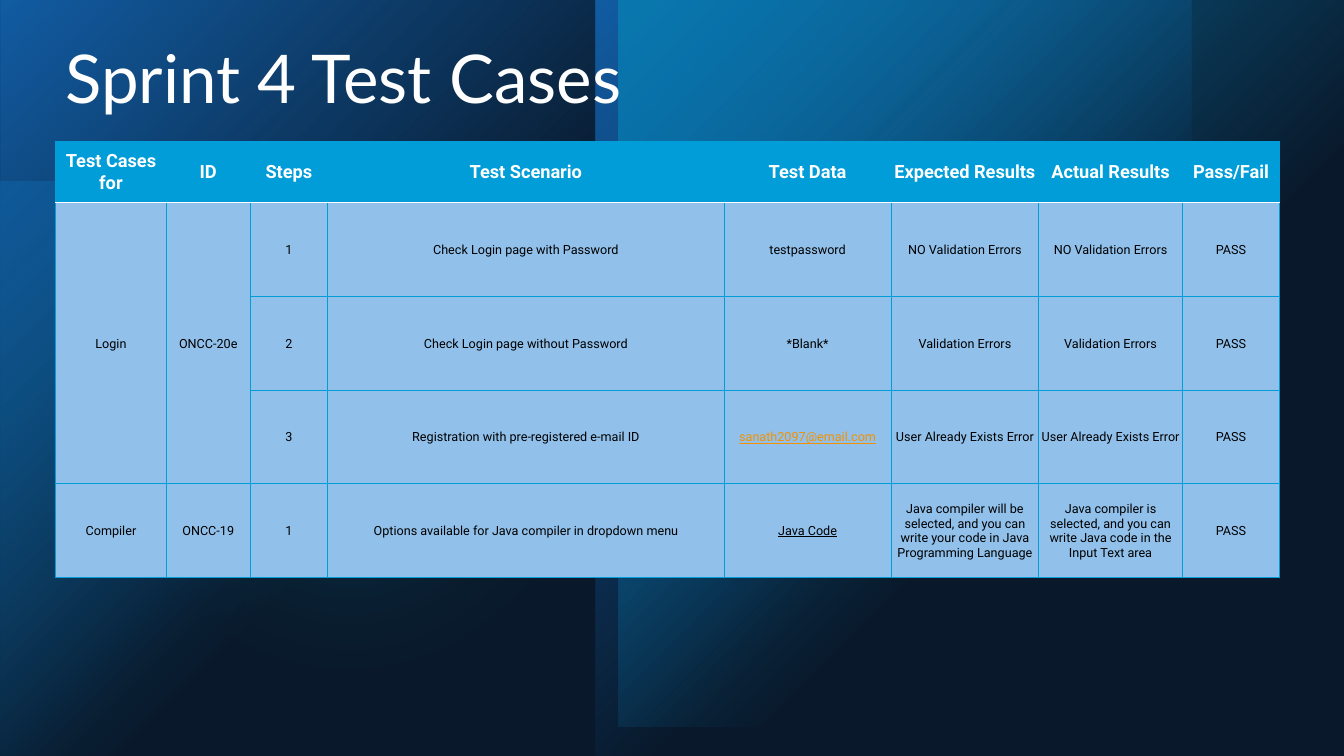
"""Build the Sprint 4 test case slide."""
import pptx
import pptx.dml.color
import pptx.enum.shapes
import pptx.enum.text
import pptx.oxml
import pptx.oxml.ns
import pptx.util

Inches, Pt = pptx.util.Inches, pptx.util.Pt
qn = pptx.oxml.ns.qn
MSO_SHAPE = pptx.enum.shapes.MSO_SHAPE
PP_ALIGN = pptx.enum.text.PP_ALIGN
MSO_ANCHOR = pptx.enum.text.MSO_ANCHOR
NS = 'xmlns:a="http://schemas.openxmlformats.org/drawingml/2006/main"'

SKY, BLUE, TEAL, NAVY = "009DD9", "0F6FC6", "0BD0D9", "17406D"
PALE, WHITE, BLACK, ORANGE = "91C1EB", "FFFFFF", "000000", "F49100"
HEADER = {"size": Pt(13), "name": "Roboto", "bold": True, "color": WHITE}
BODY = {"size": Pt(9), "name": "Roboto", "bold": False, "color": BLACK}
TITLE = {"size": Pt(48), "name": "Lato", "color": WHITE}
SPECIAL = {
    "sanath2097@email.com": {"color": ORANGE, "underline": True},
    "Java Code": {"underline": True},
}

COLS = [1.1, 0.83, 0.77, 3.93, 1.66, 1.46, 1.43, 0.96]
ROWS = [0.61] + [0.93] * 4
CASES = [
    ["Test Cases for", "ID", "Steps", "Test Scenario", "Test Data",
     "Expected Results", "Actual Results", "Pass/Fail"],
    ["Login", "ONCC-20e", "1", "Check Login page with Password", "testpassword",
     "NO Validation Errors", "NO Validation Errors", "PASS"],
    ["", "", "2", "Check Login page without Password", "*Blank*",
     "Validation Errors", "Validation Errors", "PASS"],
    ["", "", "3", "Registration with pre-registered e-mail ID", "sanath2097@email.com",
     "User Already Exists Error", "User Already Exists Error", "PASS"],
    ["Compiler", "ONCC-19", "1", "Options available for Java compiler in dropdown menu",
     "Java Code",
     "Java compiler will be selected, and you can write your code in Java Programming Language",
     "Java compiler is selected, and you can write Java code in the Input Text area", "PASS"],
]


def rgb(value):
    return pptx.dml.color.RGBColor.from_string(value)


def xml_color(value, alpha):
    return f'<a:srgbClr val="{value}"><a:alpha val="{alpha * 1000}"/></a:srgbClr>'


class Deck:
    def __init__(self):
        self.prs = pptx.Presentation()
        self.prs.slide_width, self.prs.slide_height = Inches(13.33), Inches(7.5)
        self.s = self.prs.slides.add_slide(self.prs.slide_layouts[5])

    def background(self, color):
        fill = self.s.background.fill
        fill.solid()
        fill.fore_color.rgb = rgb(color)

    def font(self, font, values):
        for key, value in values.items():
            if key == "color":
                font.color.rgb = rgb(value)
            else:
                setattr(font, key, value)

    def shape(self, kind, box, fill, flip="", rotation=0, soft=0):
        sp = self.s.shapes.add_shape(kind, *map(Inches, box))
        sp.shadow.inherit = False
        sp.line.fill.background()
        sp.rotation = rotation
        spPr = sp._element.spPr
        for axis in flip:
            spPr.find(qn("a:xfrm")).set("flip" + axis, "1")
        spPr.find(qn("a:prstGeom")).addnext(pptx.oxml.parse_xml(fill))
        if soft:
            spPr.find(qn("a:effectLst")).append(
                pptx.oxml.parse_xml(f'<a:softEdge {NS} rad="{Inches(soft)}"/>'))

    def glow(self, box, color, alpha, flip="V", rotation=180):
        fill = (f'<a:gradFill {NS} rotWithShape="1"><a:gsLst>'
                f'<a:gs pos="0">{xml_color(color, alpha)}</a:gs>'
                f'<a:gs pos="60000">{xml_color(color, 0)}</a:gs></a:gsLst>'
                '<a:path path="circle"><a:fillToRect r="100000" b="100000"/></a:path>'
                '</a:gradFill>')
        self.shape(MSO_SHAPE.RECTANGLE, box, fill, flip, rotation)

    def tint(self, kind, box, color, alpha, soft=0):
        fill = f'<a:solidFill {NS}>{xml_color(color, alpha)}</a:solidFill>'
        self.shape(kind, box, fill, soft=soft)

    def title(self, text, box):
        sp = self.s.shapes.title
        sp._element.getparent().append(sp._element)
        sp.left, sp.top, sp.width, sp.height = map(Inches, box)
        tf = sp.text_frame
        tf.text = text
        tf.vertical_anchor = MSO_ANCHOR.TOP
        p = tf.paragraphs[0]
        p.alignment = PP_ALIGN.LEFT
        p.line_spacing = 0.9
        self.font(p.runs[0].font, TITLE)

    def borders(self, cell, bottom):
        tcPr = cell._tc.get_or_add_tcPr()
        sides = dict.fromkeys("LRT", (SKY, 0.5)) | {"B": bottom}
        for i, (side, (color, width)) in enumerate(sides.items()):
            tcPr.insert(i, pptx.oxml.parse_xml(
                f'<a:ln{side} {NS} w="{Pt(width)}"><a:solidFill>'
                f'<a:srgbClr val="{color}"/></a:solidFill></a:ln{side}>'))

    def cell(self, cell, text, values, fill, bottom):
        cell.fill.solid()
        cell.fill.fore_color.rgb = rgb(fill)
        cell.vertical_anchor = MSO_ANCHOR.MIDDLE
        cell.margin_left = cell.margin_right = cell.margin_top = Inches(0.01)
        cell.margin_bottom = 0
        p = cell.text_frame.paragraphs[0]
        p.alignment = PP_ALIGN.CENTER
        if text:
            r = p.add_run()
            r.text = text
            self.font(r.font, values)
        self.borders(cell, bottom)

    def table(self, left, top):
        frame = self.s.shapes.add_table(len(ROWS), len(COLS), Inches(left), Inches(top),
                                        Inches(sum(COLS)), Inches(sum(ROWS)))
        table = frame.table
        table.horz_banding = False
        for column, width in zip(table.columns, COLS):
            column.width = Inches(width)
        for i, (row, height) in enumerate(zip(table.rows, ROWS)):
            row.height = Inches(height)
            for cell, text in zip(row.cells, CASES[i]):
                if i == 0:
                    self.cell(cell, text, HEADER, SKY, (WHITE, 1))
                else:
                    values = BODY | SPECIAL.get(text, {})
                    self.cell(cell, text, values, PALE, (SKY, 0.5))
        for col in range(2):
            table.cell(1, col).merge(table.cell(3, col))


def main():
    deck = Deck()
    deck.background(BLACK)
    deck.glow((0, 1.8, 5.71, 5.71), SKY, 60, rotation=0)
    deck.tint(MSO_SHAPE.OVAL, (6.29, 0.43, 4.72, 4.72), TEAL, 60, soft=1.39)
    deck.tint(MSO_SHAPE.OVAL, (0, 0.56, 6.94, 6.94), TEAL, 20, soft=1.39)
    deck.glow((0, 0, 5.91, 7.5), BLUE, 100)
    deck.glow((5.91, 0, 5.91, 7.5), BLUE, 100, flip="HV")
    deck.glow((6.13, 0, 7.21, 7.21), SKY, 100)
    deck.tint(MSO_SHAPE.RECTANGLE, (0, 0, 13.33, 7.5), NAVY, 40)
    deck.table(0.55, 1.4)
    deck.title("Sprint 4 Test Cases", (0.55, 0.4, 12.14, 0.99))
    deck.prs.save("out.pptx")


if __name__ == "__main__":
    main()
